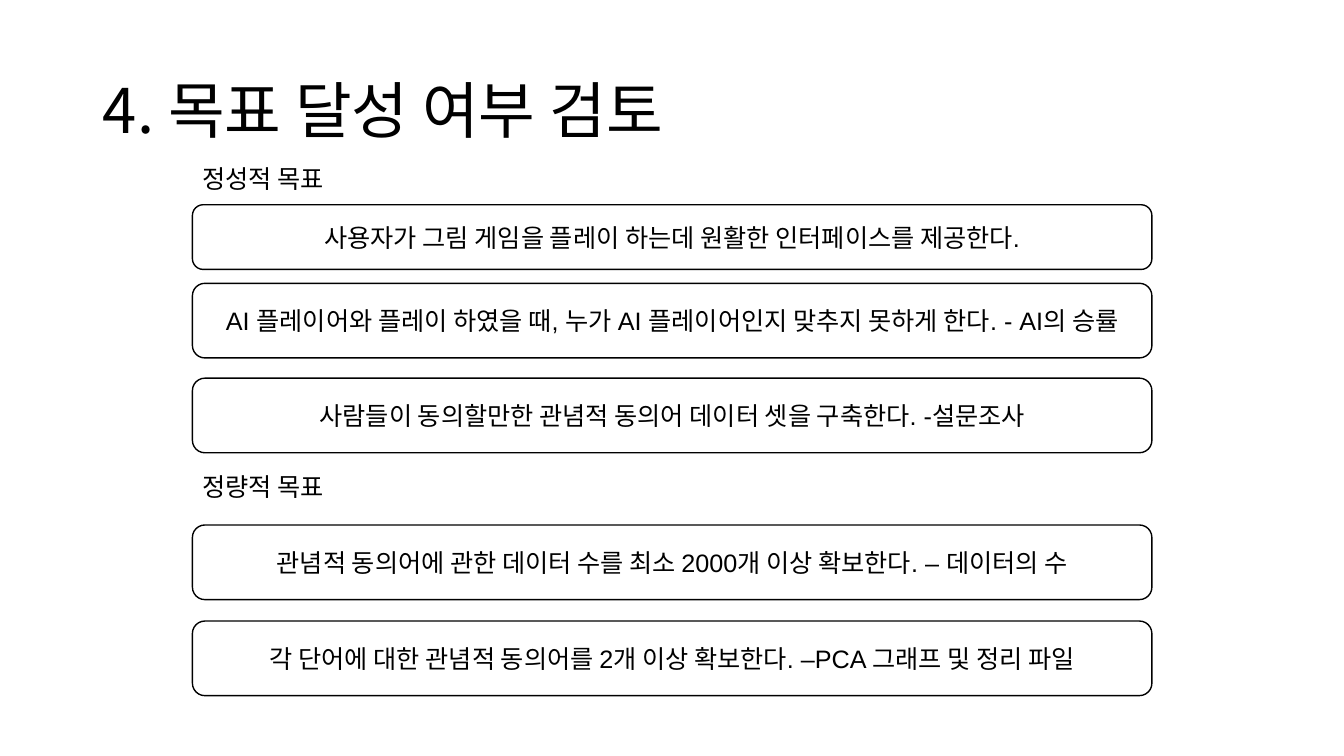
from pptx import Presentation
from pptx import util as u
from pptx.dml.color import RGBColor
from pptx.enum import shapes, text

TITLE = "4. 목표 달성 여부 검토"
GOAL_GROUPS = [
    ("정성적 목표", 3.99, [
        ("사용자가 그림 게임을 플레이 하는데 원활한 인터페이스를 제공한다.", 5.16, 1.63),
        ("AI 플레이어와 플레이 하였을 때, 누가 AI 플레이어인지 맞추지 못하게 한다. - AI의 승률", 7.14, 1.88),
        ("사람들이 동의할만한 관념적 동의어 데이터 셋을 구축한다. -설문조사", 9.53, 1.88),
    ]),
    ("정량적 목표", 11.76, [
        ("관념적 동의어에 관한 데이터 수를 최소 2000개 이상 확보한다. – 데이터의 수", 13.23, 1.88),
        ("각 단어에 대한 관념적 동의어를 2개 이상 확보한다. –PCA 그래프 및 정리 파일", 15.65, 1.88),
    ]),
]
COLORS = {"ink": "000000", "paper": "FFFFFF"}
LEFT, GOAL_WIDTH = 4.85, 24.18
LABEL_WIDTH, LABEL_HEIGHT = 5.21, 1.02


def color(name):
    return RGBColor.from_string(COLORS[name])


def write(shape, content, size, font_name, alignment):
    shape.text_frame.text = content
    shape.text_frame.word_wrap = True
    paragraph = shape.text_frame.paragraphs[0]
    paragraph.alignment = alignment
    paragraph.font.size = u.Pt(size)
    paragraph.font.name = font_name
    paragraph.font.color.rgb = color("ink")
    return paragraph


def add_label(slide, content, top):
    label = slide.shapes.add_textbox(u.Cm(LEFT), u.Cm(top), u.Cm(LABEL_WIDTH), u.Cm(LABEL_HEIGHT))
    write(label, content, 18, "Arial", text.PP_ALIGN.LEFT)
    label.text_frame.auto_size = text.MSO_AUTO_SIZE.SHAPE_TO_FIT_TEXT


def add_goal(slide, content, top, height):
    goal = slide.shapes.add_shape(
        shapes.MSO_SHAPE.ROUNDED_RECTANGLE, u.Cm(LEFT), u.Cm(top), u.Cm(GOAL_WIDTH), u.Cm(height))
    goal.shadow.inherit = False
    goal.fill.solid()
    goal.fill.fore_color.rgb = color("paper")
    goal.line.color.rgb = color("ink")
    goal.line.width = u.Pt(1)
    write(goal, content, 18, "Arial", text.PP_ALIGN.CENTER)
    goal.text_frame.vertical_anchor = text.MSO_ANCHOR.MIDDLE


def main():
    presentation = Presentation()
    presentation.slide_width, presentation.slide_height = u.Cm(33.87), u.Cm(19.05)
    slide = presentation.slides.add_slide(presentation.slide_layouts[5])

    title = slide.shapes.title
    title.left, title.top, title.width, title.height = u.Cm(2.34), u.Cm(1.02), u.Cm(29.21), u.Cm(3.68)
    heading = write(title, TITLE, 44, "Noto Sans CJK KR", text.PP_ALIGN.LEFT)
    heading.line_spacing = 0.9
    title.text_frame.vertical_anchor = text.MSO_ANCHOR.MIDDLE
    title.text_frame.auto_size = text.MSO_AUTO_SIZE.NONE

    for label, label_top, goals in GOAL_GROUPS:
        add_label(slide, label, label_top)
        for content, top, height in goals:
            add_goal(slide, content, top, height)

    presentation.save("out.pptx")


if __name__ == "__main__":
    main()
